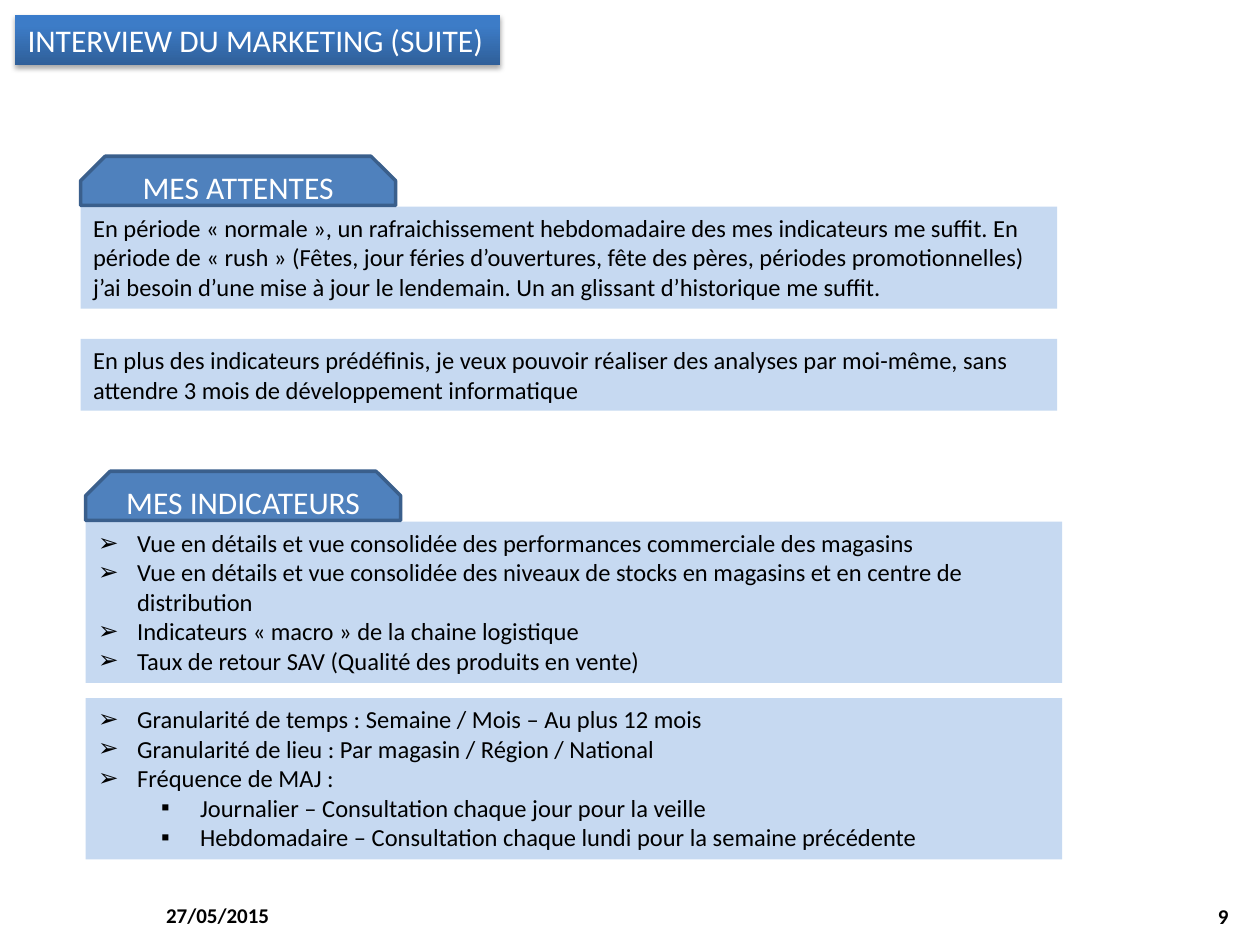
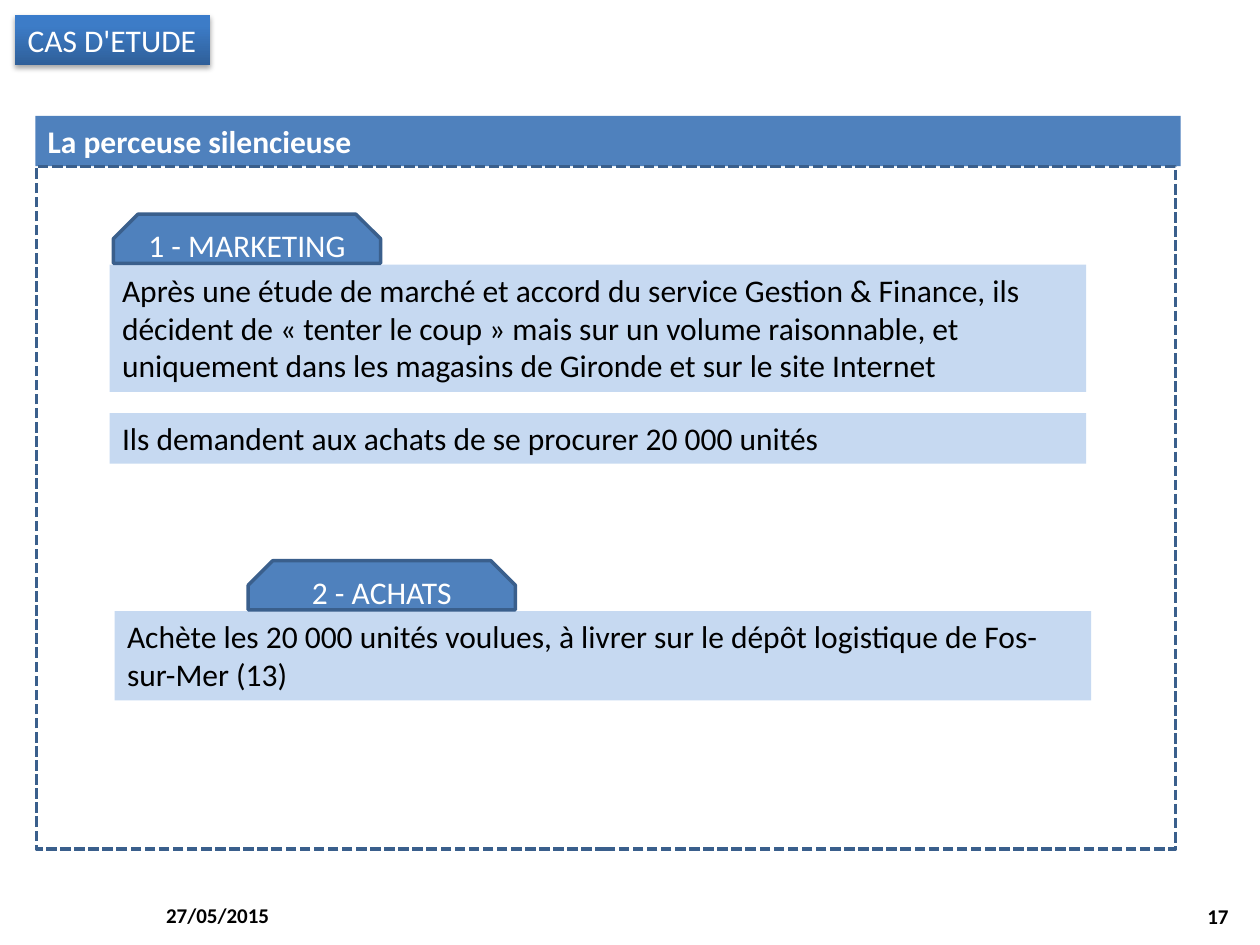
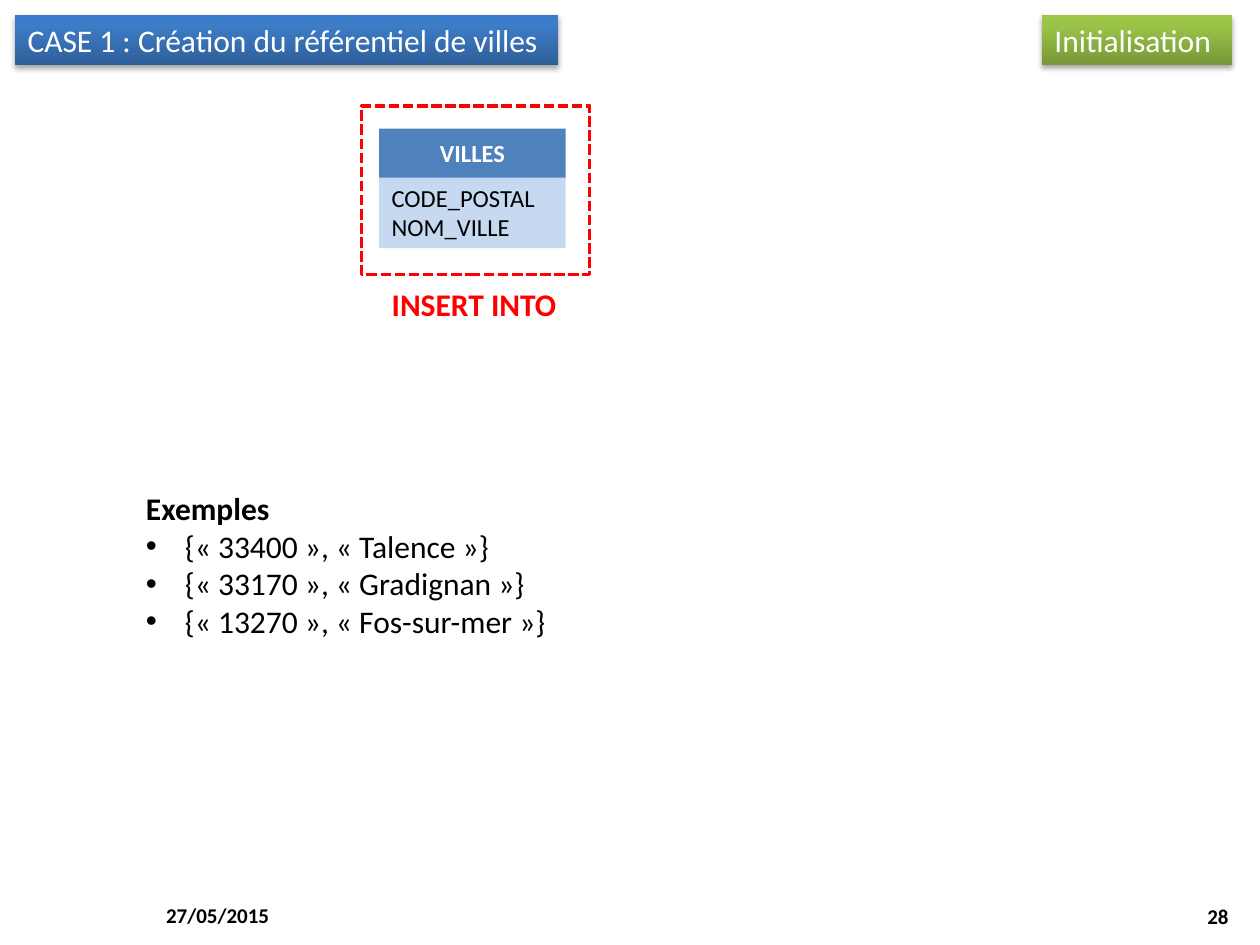
from copy import deepcopy

from lxml.etree import SubElement
from pptx import Presentation
from pptx.dml.color import RGBColor
from pptx.enum.dml import MSO_LINE
from pptx.enum.shapes import MSO_SHAPE as Shape
from pptx.enum.text import MSO_ANCHOR as Anchor, MSO_AUTO_SIZE as AutoSize, PP_ALIGN as Align
from pptx.oxml.ns import qn
from pptx.util import Inches, Pt

FONT = "Calibri"
BLACK = RGBColor(0x00, 0x00, 0x00)
WHITE = RGBColor(0xFF, 0xFF, 0xFF)
RED = RGBColor(0xFF, 0x00, 0x00)
BLUE = RGBColor(0x4F, 0x81, 0xBD)
DARK_BLUE = RGBColor(0x3A, 0x5F, 0x8C)
PALE_BLUE = RGBColor(0xC6, 0xD9, 0xF1)
BLUE_GRADIENT = [(0, RGBColor(0x2F, 0x5F, 0x99)), (0.8, RGBColor(0x3D, 0x7C, 0xC7)),
                 (1, RGBColor(0x3A, 0x7C, 0xCB))]
GREEN_GRADIENT = [(0, RGBColor(0x77, 0x97, 0x37)), (0.8, RGBColor(0x9B, 0xC3, 0x48)),
                  (1, RGBColor(0x9D, 0xC7, 0x46))]

DATE = "27/05/2015"
BAR_HEIGHT = 0.4
TAB_HEIGHT = 0.39
PANEL_WIDTH = 7.75
BULLET_LEFT = {"➢": 0.31, "▪": 0.81, "•": 0.31}
BULLET_HANG = 0.31


def add_bullet(paragraph, bullet):
    props = paragraph._p.get_or_add_pPr()
    props.set("marL", str(Inches(BULLET_LEFT[bullet])))
    props.set("indent", str(-Inches(BULLET_HANG)))
    SubElement(props, qn("a:buFont"), typeface="Arial")
    SubElement(props, qn("a:buChar"), char=bullet)


def write(shape, lines, size, color=BLACK, bold=False, align=Align.LEFT,
          anchor=Anchor.TOP, wrap=True, grow=True):
    """Fill a shape with lines; a line is a text or a (bullet, text) pair."""
    frame = shape.text_frame
    frame.word_wrap = wrap
    frame.vertical_anchor = anchor
    frame.auto_size = AutoSize.SHAPE_TO_FIT_TEXT if grow else AutoSize.NONE
    for i, line in enumerate(lines):
        paragraph = frame.paragraphs[0] if i == 0 else frame.add_paragraph()
        bullet, text = (None, line) if isinstance(line, str) else line
        if bullet:
            add_bullet(paragraph, bullet)
        paragraph.text = text
        paragraph.alignment = align
        font = paragraph.font
        font.name, font.size, font.bold = FONT, Pt(size), bold
        font.color.rgb = color


def add_box(slide, box, fill=None, line=None, dashed=False, kind=Shape.RECTANGLE):
    shape = slide.shapes.add_shape(kind, *map(Inches, box))
    shape.shadow.inherit = False
    if fill is None:
        shape.fill.background()
    else:
        shape.fill.solid()
        shape.fill.fore_color.rgb = fill
    if line is None:
        shape.line.fill.background()
    else:
        shape.line.color.rgb = line
        shape.line.width = Pt(2)
        if dashed:
            shape.line.dash_style = MSO_LINE.SQUARE_DOT
    return shape


def add_label(slide, box, lines, size=18, **style):
    write(slide.shapes.add_textbox(*map(Inches, box)), lines, size, **style)


def add_gradient(shape, gradient):
    shape.fill.gradient()
    shape.fill.gradient_angle = 90
    stop_list = shape._element.spPr.find(".//" + qn("a:gsLst"))
    stop_list.append(deepcopy(stop_list[-1]))
    for stop, (position, color) in zip(shape.fill.gradient_stops, gradient):
        stop.position = position
        stop.color.rgb = color


def add_drop_shadow(shape):
    effects = shape._element.spPr.find(qn("a:effectLst"))
    shadow = SubElement(effects, qn("a:outerShdw"), blurRad=str(Pt(3.1)),
                        dist=str(Pt(1.8)), dir="5400000", rotWithShape="0")
    tint = SubElement(shadow, qn("a:srgbClr"), val=str(BLACK))
    SubElement(tint, qn("a:alpha"), val="35000")


def add_banner(slide, left, width, text, gradient=BLUE_GRADIENT, wrap=False):
    banner = add_box(slide, (left, 0.12, width, BAR_HEIGHT), BLUE)
    add_gradient(banner, gradient)
    add_drop_shadow(banner)
    write(banner, [text], 18, WHITE, wrap=wrap)


def add_slide(prs, title, title_width, number):
    """Add a blank slide with its title banner, date and number."""
    slide = prs.slides.add_slide(prs.slide_layouts[6])
    footer = dict(size=12, bold=True, anchor=Anchor.MIDDLE, grow=False)
    add_label(slide, (1.22, 7.06, 2.33, 0.4), [DATE], **footer)
    add_label(slide, (7.52, 7.07, 2.33, 0.4), [str(number)], align=Align.RIGHT, **footer)
    add_banner(slide, 0.12, title_width, title)
    return slide


def add_section(slide, left, top, heading, tab_width, panels, size, tab_offset=0):
    """Place a snipped heading tab above panels given as (offset, height, lines)."""
    for offset, height, lines in panels:
        panel = add_box(slide, (left, top + offset, PANEL_WIDTH, height), PALE_BLUE)
        write(panel, lines, size)
    tab = add_box(slide, (left + tab_offset, top - 0.4, tab_width, TAB_HEIGHT),
                  BLUE, DARK_BLUE, kind=Shape.SNIP_2_SAME_RECTANGLE)
    tab.adjustments[0] = 0.5
    write(tab, [heading], 18, WHITE, align=Align.CENTER, anchor=Anchor.MIDDLE, grow=False)


def add_entity(slide, left, top, name, fields):
    """Draw a database table as a name band over its field list."""
    width = 1.48
    field_list = add_box(slide, (left, top + 0.38, width, 0.57), PALE_BLUE)
    write(field_list, fields, 14)
    band = add_box(slide, (left, top, width, TAB_HEIGHT), BLUE)
    write(band, [name], 14, WHITE, bold=True, align=Align.CENTER,
          anchor=Anchor.MIDDLE, grow=False)


def interview_slide(prs):
    slide = add_slide(prs, "INTERVIEW DU MARKETING (SUITE)", 3.85, 9)
    add_section(slide, 0.64, 1.64, "MES ATTENTES", 2.5, [
        (0, 0.81, ["En période « normale », un rafraichissement hebdomadaire des mes "
                   "indicateurs me suffit. En période de « rush » (Fêtes, jour féries "
                   "d’ouvertures, fête des pères, périodes promotionnelles) j’ai besoin "
                   "d’une mise à jour le lendemain. Un an glissant d’historique me suffit."]),
        (1.05, 0.57, ["En plus des indicateurs prédéfinis, je veux pouvoir réaliser des "
                      "analyses par moi-même, sans attendre 3 mois de développement "
                      "informatique"]),
    ], size=14)
    add_section(slide, 0.68, 4.14, "MES INDICATEURS", 2.5, [
        (0, 1.28, [
            ("➢", "Vue en détails et vue consolidée des performances commerciale des magasins"),
            ("➢", "Vue en détails et vue consolidée des niveaux de stocks en magasins et "
                  "en centre de distribution"),
            ("➢", "Indicateurs « macro » de la chaine logistique"),
            ("➢", "Taux de retour SAV (Qualité des produits en vente)"),
        ]),
        (1.4, 1.28, [
            ("➢", "Granularité de temps : Semaine / Mois – Au plus 12 mois"),
            ("➢", "Granularité de lieu : Par magasin / Région / National"),
            ("➢", "Fréquence de MAJ :"),
            ("▪", "Journalier – Consultation chaque jour pour la veille"),
            ("▪", "Hebdomadaire – Consultation chaque lundi pour la semaine précédente"),
        ]),
    ], size=14)


def case_study_slide(prs):
    slide = add_slide(prs, "CAS D'ETUDE", 1.55, 17)
    subject = add_box(slide, (0.28, 0.92, 9.09, BAR_HEIGHT), BLUE)
    write(subject, ["La perceuse silencieuse"], 18, WHITE, bold=True)
    add_box(slide, (0.29, 1.32, 9.04, 5.42), line=DARK_BLUE, dashed=True)
    add_section(slide, 0.87, 2.1, "1 - MARKETING", 2.12, [
        (0, 1.01, ["Après une étude de marché et accord du service Gestion & Finance, ils "
                   "décident de « tenter le coup » mais sur un volume raisonnable, et "
                   "uniquement dans les magasins de Gironde et sur le site Internet"]),
        (1.18, 0.4, ["Ils demandent aux achats de se procurer 20 000 unités"]),
    ], size=18, tab_offset=0.03)
    add_section(slide, 0.91, 4.85, "2 - ACHATS", 2.12, [
        (0, 0.71, ["Achète les 20 000 unités voulues, à livrer sur le dépôt logistique de "
                   "Fos-sur-Mer (13)"]),
    ], size=18, tab_offset=1.06)


def cities_slide(prs):
    slide = add_slide(prs, "CASE 1 : Création du référentiel de villes", 4.31, 28)
    add_banner(slide, 8.27, 1.51, "Initialisation", GREEN_GRADIENT, wrap=True)
    add_entity(slide, 3.01, 1.02, "VILLES", ["CODE_POSTAL", "NOM_VILLE"])
    add_box(slide, (2.87, 0.84, 1.81, 1.34), line=RED, dashed=True)
    add_label(slide, (3.01, 2.21, 1.52, 0.4), ["INSERT INTO"], color=RED, bold=True, wrap=False)
    cities = [("33400", "Talence"), ("33170", "Gradignan"), ("13270", "Fos-sur-mer")]
    examples = [("•", f"{{« {code} », « {city} »}}") for code, city in cities]
    add_label(slide, (1.06, 3.83, 3.42, 1.31), ["Exemples", *examples], wrap=False)
    slide.shapes[-1].text_frame.paragraphs[0].font.bold = True


def main():
    prs = Presentation()
    prs.slide_width, prs.slide_height = Inches(10), Inches(7.5)
    interview_slide(prs)
    case_study_slide(prs)
    cities_slide(prs)
    prs.save("out.pptx")


if __name__ == "__main__":
    main()
